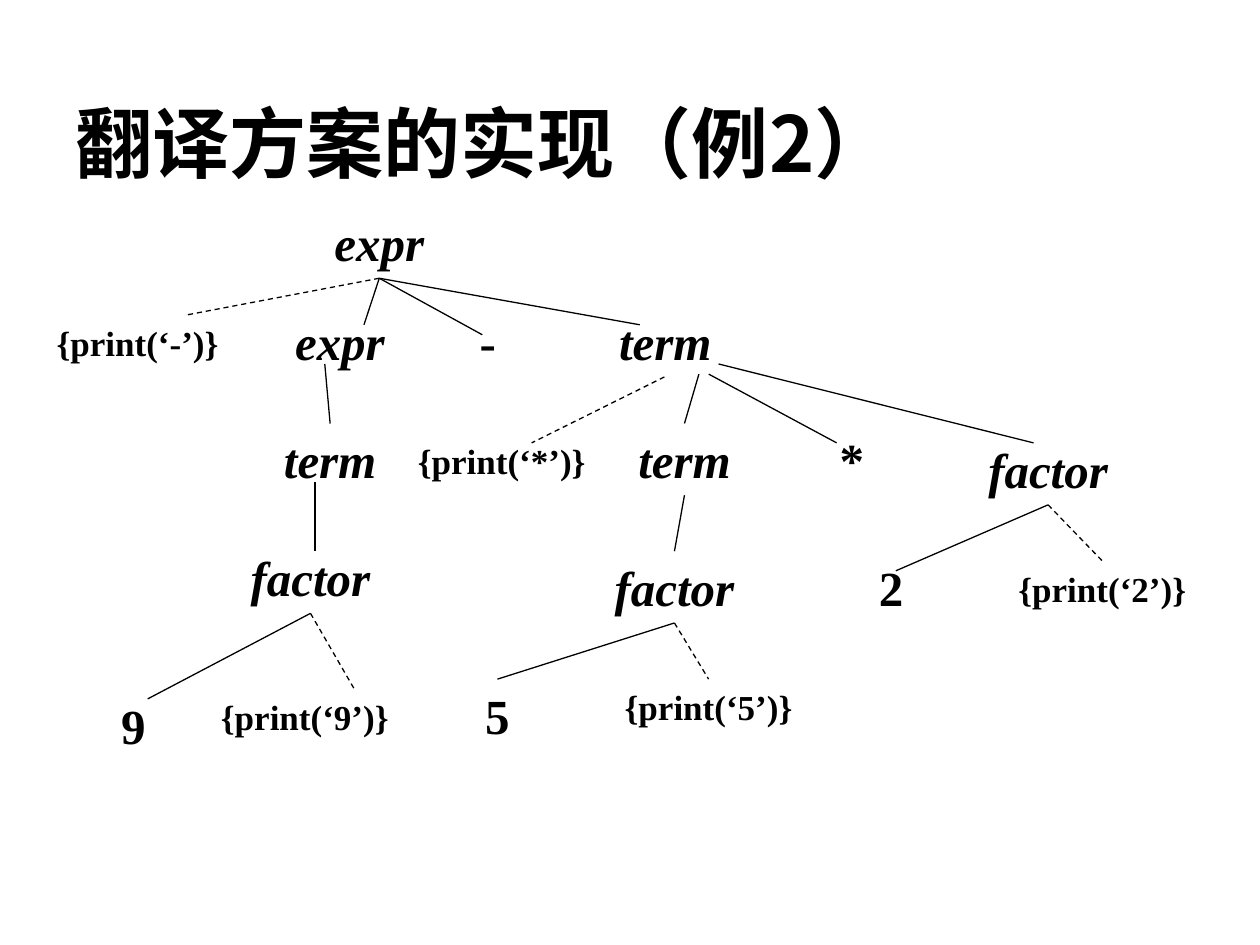
import pptx
import pptx.util
import pptx.dml.color
import pptx.enum.dml
import pptx.enum.shapes
import pptx.enum.text
import pptx.oxml.ns
from lxml import etree

Pt = pptx.util.Pt
COLORS = {"ink": "000000"}
INK = pptx.dml.color.RGBColor.from_string(COLORS["ink"])
TITLE = "翻译方案的实现（例2）"
TITLE_FONT, TREE_FONT = "Noto Sans CJK SC", "Times New Roman"

# Kind of node: width, height, font size, italic
KINDS = {
    "symbol": (73.5, 41, 28, True),
    "factor": (84.25, 41, 28, True),
    "token": (73.5, 41, 28, False),
    "action": (112.3, 31.7, 20, False),
}

# Name: text, kind, left, top
NODES = {
    "root": ("expr", "symbol", 180, 118),
    "print -": ("{print(‘-’)}", "action", 22.5, 180),
    "expr": ("expr", "symbol", 157.5, 174.4),
    "-": ("-", "token", 242, 174.4),
    "product": ("term", "symbol", 343.4, 174.4),
    "term 9": ("term", "symbol", 151.9, 242),
    "factor 9": ("factor", "factor", 135.3, 309.5),
    "9": ("9", "token", 39.4, 393.8),
    "term 5": ("term", "symbol", 354.4, 242),
    "*": ("*", "token", 450, 242),
    "factor 2": ("factor", "factor", 556.8, 247.5),
    "factor 5": ("factor", "factor", 343.3, 315),
    "5": ("5", "token", 247.5, 388.1),
    "2": ("2", "token", 472.5, 315),
    "print *": ("{print(‘*’)}", "action", 230.6, 247.5),
    "print 9": ("{print(‘9’)}", "action", 118.1, 393.8),
    "print 5": ("{print(‘5’)}", "action", 348.8, 388.1),
    "print 2": ("{print(‘2’)}", "action", 573.8, 320.6),
}

# Parent, child, free start, free end; None joins the middle of the node's side
EDGES = [
    ("root", "print -", None, (106.5, 180)),
    ("root", "expr", None, (208, 185.6)),
    ("root", "-", None, (275.6, 191.3)),
    ("root", "product", None, (365.6, 185.6)),
    ("expr", "term 9", (185.6, 208), None),
    ("term 9", "factor 9", (180, 275.6), (180, 315)),
    ("factor 9", "9", None, (84.4, 399.4)),
    ("factor 9", "print 9", None, (202.5, 393.8)),
    ("product", "print *", (379.7, 215.4), (303.8, 253.1)),
    ("product", "term 5", (399.4, 213.8), None),
    ("product", "*", (405, 213.8), (478.1, 253.1)),
    ("product", "factor 2", (410.6, 208), (590.6, 253.1)),
    ("term 5", "factor 5", None, None),
    ("factor 5", "5", None, None),
    ("factor 5", "print 5", None, None),
    ("factor 2", "2", None, (511.9, 326.2)),
    ("factor 2", "print 2", None, None),
]
TOP, BOTTOM = 0, 2


def style(p, size, font, italic=False):
    for r in p.runs:
        f = r.font
        f.size, f.name, f.bold, f.italic = Pt(size), font, True, italic
        f.color.rgb = INK


def add_node(s, text, kind, left, top):
    width, height, size, italic = KINDS[kind]
    sp = s.shapes.add_textbox(Pt(left), Pt(top), Pt(width), Pt(height))
    tf = sp.text_frame
    tf.word_wrap = True
    tf.auto_size = pptx.enum.text.MSO_AUTO_SIZE.SHAPE_TO_FIT_TEXT
    tf.text = text
    p = tf.paragraphs[0]
    p.alignment = pptx.enum.text.PP_ALIGN.CENTER
    style(p, size, TREE_FONT, italic)
    return sp


def add_edge(s, boxes, parent, child, start, end):
    x1, y1 = start or (0, 0)
    x2, y2 = end or (0, 0)
    line = s.shapes.add_connector(
        pptx.enum.shapes.MSO_CONNECTOR.STRAIGHT, Pt(x1), Pt(y1), Pt(x2), Pt(y2))
    if start is None:
        line.begin_connect(boxes[parent], BOTTOM)
    if end is None:
        line.end_connect(boxes[child], TOP)
    line.line.color.rgb = INK
    line.line.width = Pt(0.75)
    if NODES[child][1] == "action":
        line.line.dash_style = pptx.enum.dml.MSO_LINE.DASH
    etree.SubElement(line._element.spPr, pptx.oxml.ns.qn("a:effectLst"))


def main():
    prs = pptx.Presentation()
    prs.slide_width, prs.slide_height = Pt(720), Pt(540)
    s = prs.slides.add_slide(prs.slide_layouts[5])

    # Title
    title = s.shapes.title
    title.left, title.top, title.width, title.height = Pt(36), Pt(50.4), Pt(648), Pt(61.2)
    tf = title.text_frame
    tf.text = TITLE
    tf.auto_size = pptx.enum.text.MSO_AUTO_SIZE.NONE
    tf.vertical_anchor = pptx.enum.text.MSO_ANCHOR.MIDDLE
    p = tf.paragraphs[0]
    p.alignment = pptx.enum.text.PP_ALIGN.LEFT
    style(p, 44, TITLE_FONT)
    ea = etree.SubElement(p.runs[0].font._element, pptx.oxml.ns.qn("a:ea"))
    ea.set("typeface", TITLE_FONT)

    # Parse tree: nodes, then the branches between them
    boxes = {name: add_node(s, *node) for name, node in NODES.items()}
    for edge in EDGES:
        add_edge(s, boxes, *edge)

    prs.save("out.pptx")


if __name__ == "__main__":
    main()
